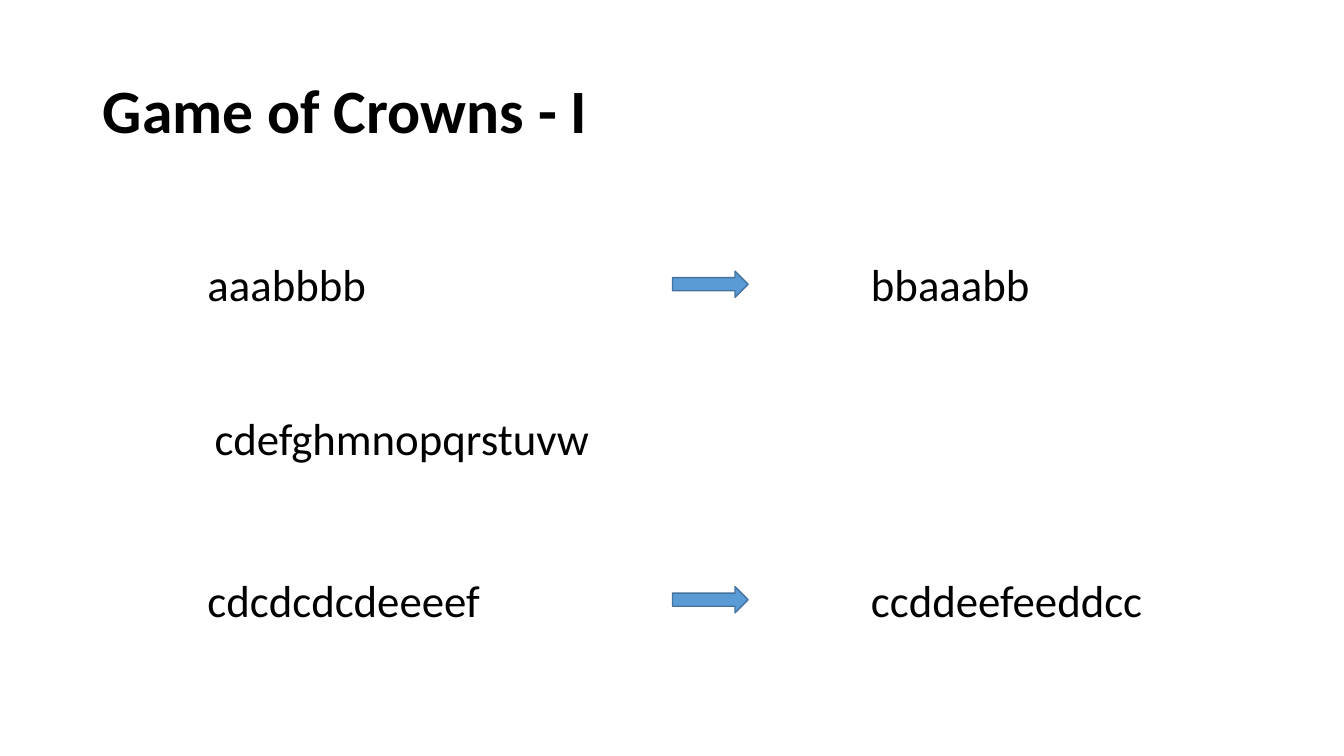
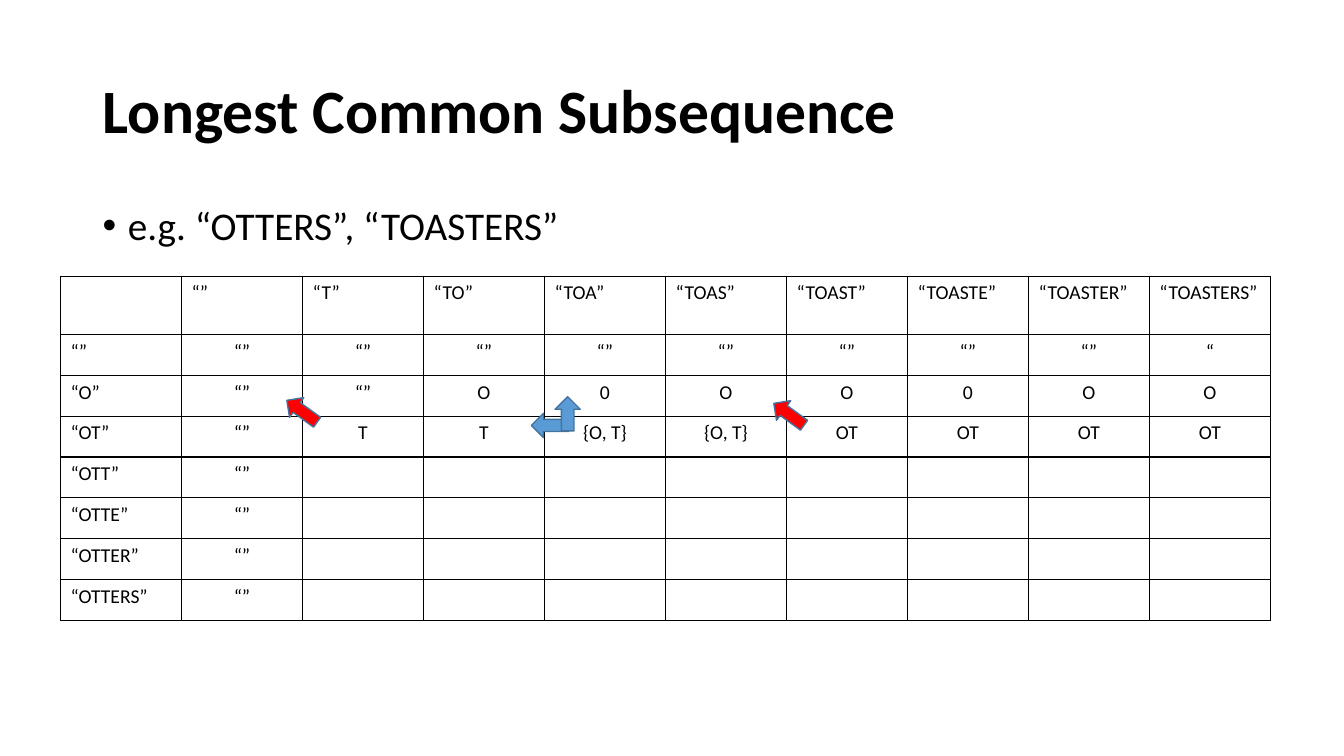
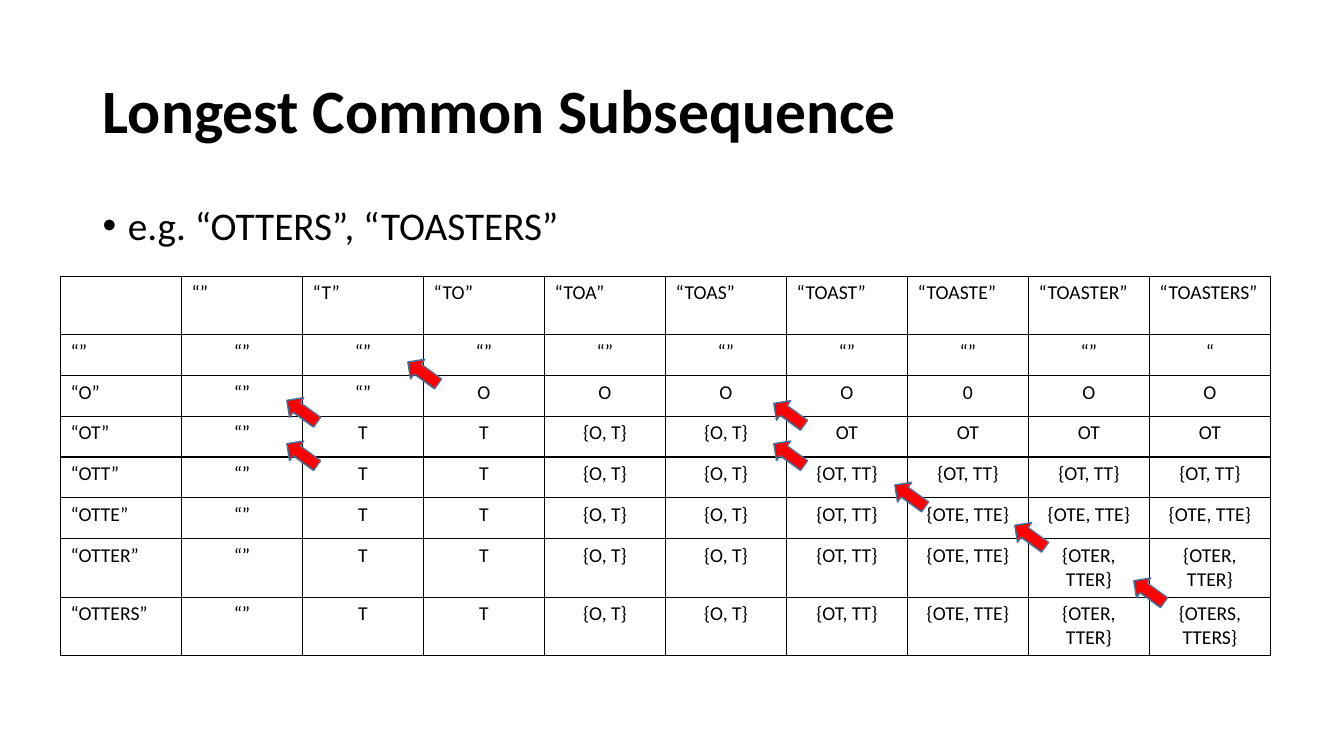
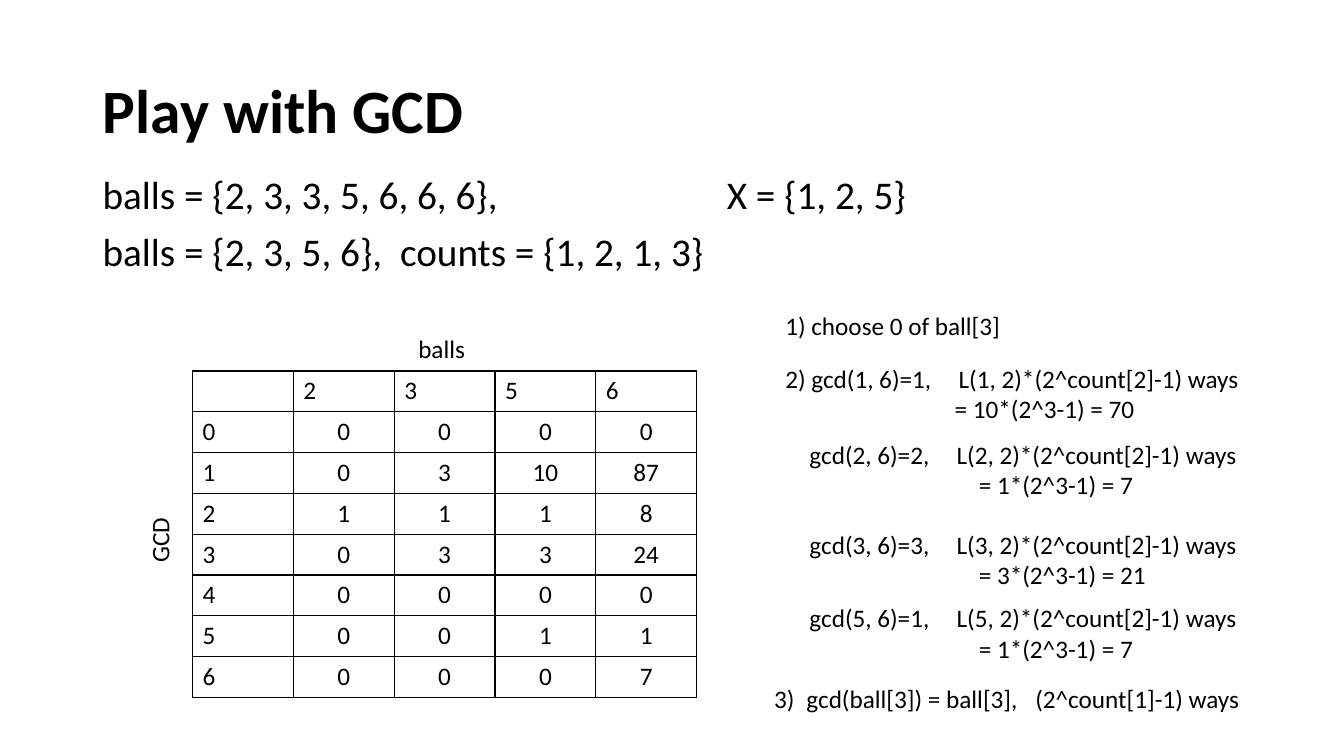
"""Build four slides on string and number puzzles."""
from lxml import etree
from pptx import Presentation
from pptx import util as u
from pptx.dml.color import RGBColor
from pptx.enum import shapes, text
from pptx.oxml.ns import qn

COLORS = {"ink": "000000", "blue": "5B9BD5", "red": "FF0000", "outline": "43739E"}
FONT = "Calibri"
ROW_HEIGHT = u.Inches(3.24) // 8
TALL_ROW_HEIGHT = u.Inches(0.58)
DIAGONAL = 215.9
LCS_BODY = [
    "“”|“”|“”|“”|“”|“”|“”|“”|“",
    "“”|“”|O|O|O|O|0|O|O",
    "“”|T|T|{O, T}|{O, T}|OT|OT|OT|OT",
    "“”|T|T|{O, T}|{O, T}|{OT, TT}|{OT, TT}|{OT, TT}|{OT, TT}",
    "“”|T|T|{O, T}|{O, T}|{OT, TT}|{OTE, TTE}|{OTE, TTE}|{OTE, TTE}",
    "“”|T|T|{O, T}|{O, T}|{OT, TT}|{OTE, TTE}|{OTER, TTER}|{OTER, TTER}",
    "“”|T|T|{O, T}|{O, T}|{OT, TT}|{OTE, TTE}|{OTER, TTER}|{OTERS, TTERS}",
]
LCS_PARTIAL = [LCS_BODY[0], "“”|“”|O|0|O|O|0|O|O", LCS_BODY[2]] + ["“”" + "|" * 8] * 4


def rgb(name):
    """Return the named colour."""
    return RGBColor.from_string(COLORS[name])


def apply(target, values):
    """Set each attribute of target from a dict."""
    for key, value in values.items():
        setattr(target, key, value)


def write(paragraph, words, size, bold=False, **layout):
    """Put one formatted run in a paragraph."""
    run = paragraph.add_run()
    run.text = words
    apply(run.font, {"name": FONT, "size": u.Pt(size), "bold": bold})
    run.font.color.rgb = rgb("ink")
    apply(paragraph, layout)


def add_titled_slide(prs, heading):
    """Add a slide with the shared title style."""
    slide = prs.slides.add_slide(prs.slide_layouts[5])
    title = slide.shapes.title
    apply(title, {"left": u.Inches(0.92), "top": u.Inches(0.4),
                  "width": u.Inches(11.5), "height": u.Inches(1.45)})
    apply(title.text_frame, {"vertical_anchor": text.MSO_ANCHOR.MIDDLE,
                             "auto_size": text.MSO_AUTO_SIZE.NONE})
    write(title.text_frame.paragraphs[0], heading, 44, True,
          alignment=text.PP_ALIGN.LEFT, line_spacing=0.9)
    return slide


def add_text(slide, words, box, size, tabs=(), rotation=0, **layout):
    """Add a text box with optional tab stops and return it."""
    label = slide.shapes.add_textbox(*map(u.Inches, box))
    label.rotation = rotation
    label.text_frame.word_wrap = True
    paragraph = label.text_frame.paragraphs[0]
    write(paragraph, words, size, **layout)
    if tabs:
        stops = etree.SubElement(paragraph._p.get_or_add_pPr(), qn("a:tabLst"))
        for stop in tabs:
            etree.SubElement(stops, qn("a:tab"), pos=str(u.Inches(stop)), algn="l")
    return label


def add_bullet(slide, words):
    """Add the bulleted line under the title."""
    line = add_text(slide, words, (0.92, 2, 11.5, 0.59), 28,
                    line_spacing=0.9, space_before=u.Pt(10))
    properties = line.text_frame.paragraphs[0]._p.get_or_add_pPr()
    indent = u.Inches(0.25)
    properties.set("marL", str(indent))
    properties.set("indent", str(-indent))
    etree.SubElement(properties, qn("a:buFont"), typeface="Arial")
    etree.SubElement(properties, qn("a:buChar"), char="•")


def add_arrow(slide, box, color, rotation=0):
    """Add a block arrow."""
    arrow = slide.shapes.add_shape(shapes.MSO_SHAPE.RIGHT_ARROW, *map(u.Inches, box))
    arrow.rotation = rotation
    arrow.shadow.inherit = False
    arrow.fill.solid()
    arrow.fill.fore_color.rgb = rgb(color)
    arrow.line.color.rgb = rgb("outline")
    arrow.line.width = u.Pt(1)


def add_diagonal_arrows(slide, corners):
    """Add a red arrow pointing up and left at each corner."""
    for left, top in corners:
        add_arrow(slide, (left, top, 0.37, 0.24), "red", DIAGONAL)


def add_borders(cell):
    """Draw a thin line on all sides of a cell."""
    properties = cell._tc.get_or_add_tcPr()
    for place, side in enumerate(("a:lnL", "a:lnR", "a:lnT", "a:lnB")):
        edge = etree.Element(qn(side), w=str(u.Pt(1)))
        fill = etree.SubElement(edge, qn("a:solidFill"))
        etree.SubElement(fill, qn("a:srgbClr"), val=COLORS["ink"])
        properties.insert(place, edge)


def add_grid(slide, rows, left, top, width, size, tall=()):
    """Add a ruled table with left-aligned headers and centred values."""
    heights = [TALL_ROW_HEIGHT if i in tall else ROW_HEIGHT for i in range(len(rows))]
    grid = slide.shapes.add_table(len(rows), len(rows[0]), u.Inches(left), u.Inches(top),
                                  u.Inches(width), sum(heights)).table
    apply(grid, {"first_row": False, "horz_banding": False})
    for r, row in enumerate(rows):
        grid.rows[r].height = heights[r]
        for c, words in enumerate(row):
            cell = grid.cell(r, c)
            cell.fill.background()
            add_borders(cell)
            if words:
                header = r == 0 or c == 0
                align = text.PP_ALIGN.LEFT if header else text.PP_ALIGN.CENTER
                write(cell.text_frame.paragraphs[0], words, size, alignment=align)


def quoted_prefixes(word):
    """List every prefix of a word in quotation marks."""
    return [f"“{word[:n]}”" for n in range(len(word) + 1)]


def add_subsequence_slide(prs, body, tall):
    """Add a slide with the subsequence table and return it."""
    slide = add_titled_slide(prs, "Longest Common Subsequence")
    add_bullet(slide, "e.g. “OTTERS”, “TOASTERS”")
    rows = [[""] + quoted_prefixes("TOASTERS")]
    rows += [[head] + line.split("|") for head, line in zip(quoted_prefixes("OTTERS"), body)]
    add_grid(slide, rows, 0.6, 2.74, 12, 14, tall)
    return slide


def add_palindrome_slide(prs):
    """Add the slide that rearranges letters into palindromes."""
    slide = add_titled_slide(prs, "Game of Crowns - I")
    for letters, palindrome, left, top in [
            ("aaabbbb", "bbaaabb", 1.96, 2.5),
            ("cdefghmnopqrstuvw", "", 2.03, 4.03),
            ("cdcdcdcdeeeef", "ccddeefeeddcc", 1.96, 5.63)]:
        add_text(slide, letters, (left, top, 4, 0.64), 32)
        if palindrome:
            add_arrow(slide, (6.67, top + 0.19, 0.75, 0.26), "blue")
            add_text(slide, palindrome, (8.54, top, 4, 0.64), 32)


def add_gcd_slide(prs):
    """Add the slide that counts choices of balls by divisor."""
    slide = add_titled_slide(prs, "Play with GCD")
    add_text(slide, "balls = {2, 3, 3, 5, 6, 6, 6},\tX = {1, 2, 5}",
             (0.92, 1.64, 9.56, 0.57), 28, [6.19])
    add_text(slide, "balls = {2, 3, 5, 6},\tcounts = {1, 2, 1, 3}",
             (0.92, 2.21, 6.97, 0.57), 28, [2.95])
    rows = ["|2|3|5|6", "0|0|0|0|0", "1|0|3|10|87", "2|1|1|1|8",
            "3|0|3|3|24", "4|0|0|0|0", "5|0|0|1|1", "6|0|0|0|7"]
    add_grid(slide, [row.split("|") for row in rows], 1.91, 3.68, 5, 18)
    add_text(slide, "balls", (4.05, 3.26, 0.72, 0.4), 18)
    add_text(slide, "GCD", (1.2, 5.1, 0.76, 0.4), 18, rotation=270)
    for words, result, left, top, tabs in [
            ("1) choose 0 of ball[3]", "", 7.69, 3.03, []),
            ("2) gcd(1, 6)=1,\tL(1, 2)*(2^count[2]-1) ways", "= 10*(2^3-1) = 70",
             7.69, 3.55, [1.72]),
            ("gcd(2, 6)=2,\tL(2, 2)*(2^count[2]-1) ways", "= 1*(2^3-1) = 7",
             7.93, 4.31, [1.46]),
            ("gcd(3, 6)=3,\tL(3, 2)*(2^count[2]-1) ways", "= 3*(2^3-1) = 21",
             7.93, 5.2, [1.46]),
            ("gcd(5, 6)=1,\tL(5, 2)*(2^count[2]-1) ways", "= 1*(2^3-1) = 7",
             7.93, 5.93, [1.46]),
            ("3)\tgcd(ball[3]) = ball[3],\t(2^count[1]-1) ways", "",
             7.58, 6.73, [0.32, 2.59])]:
        step = add_text(slide, words, (left, top, 5.34, 0.71 if result else 0.4), 18, tabs)
        if result:
            paragraph = step.text_frame.add_paragraph()
            write(paragraph, result, 18)
            paragraph._p.get_or_add_pPr().set("marL", str(u.Inches(1.68)))


def main():
    """Build and save the presentation."""
    prs = Presentation()
    apply(prs, {"slide_width": u.Inches(13.33), "slide_height": u.Inches(7.5)})
    add_palindrome_slide(prs)

    partial = add_subsequence_slide(prs, LCS_PARTIAL, [0])
    add_diagonal_arrows(partial, [(7.64, 3.99)])
    add_arrow(partial, (5.27, 4.1, 0.37, 0.24), "blue", 180)
    add_arrow(partial, (5.46, 3.98, 0.34, 0.25), "blue", 270)
    add_diagonal_arrows(partial, [(2.81, 3.96)])

    complete = add_subsequence_slide(prs, LCS_BODY, [0, 6, 7])
    add_diagonal_arrows(complete, [(7.64, 3.99), (2.81, 3.96), (4.01, 3.58), (2.81, 4.39),
                                   (7.64, 4.39), (8.84, 4.8), (10.03, 5.2), (11.21, 5.75)])
    add_gcd_slide(prs)
    prs.save("out.pptx")


if __name__ == "__main__":
    main()
